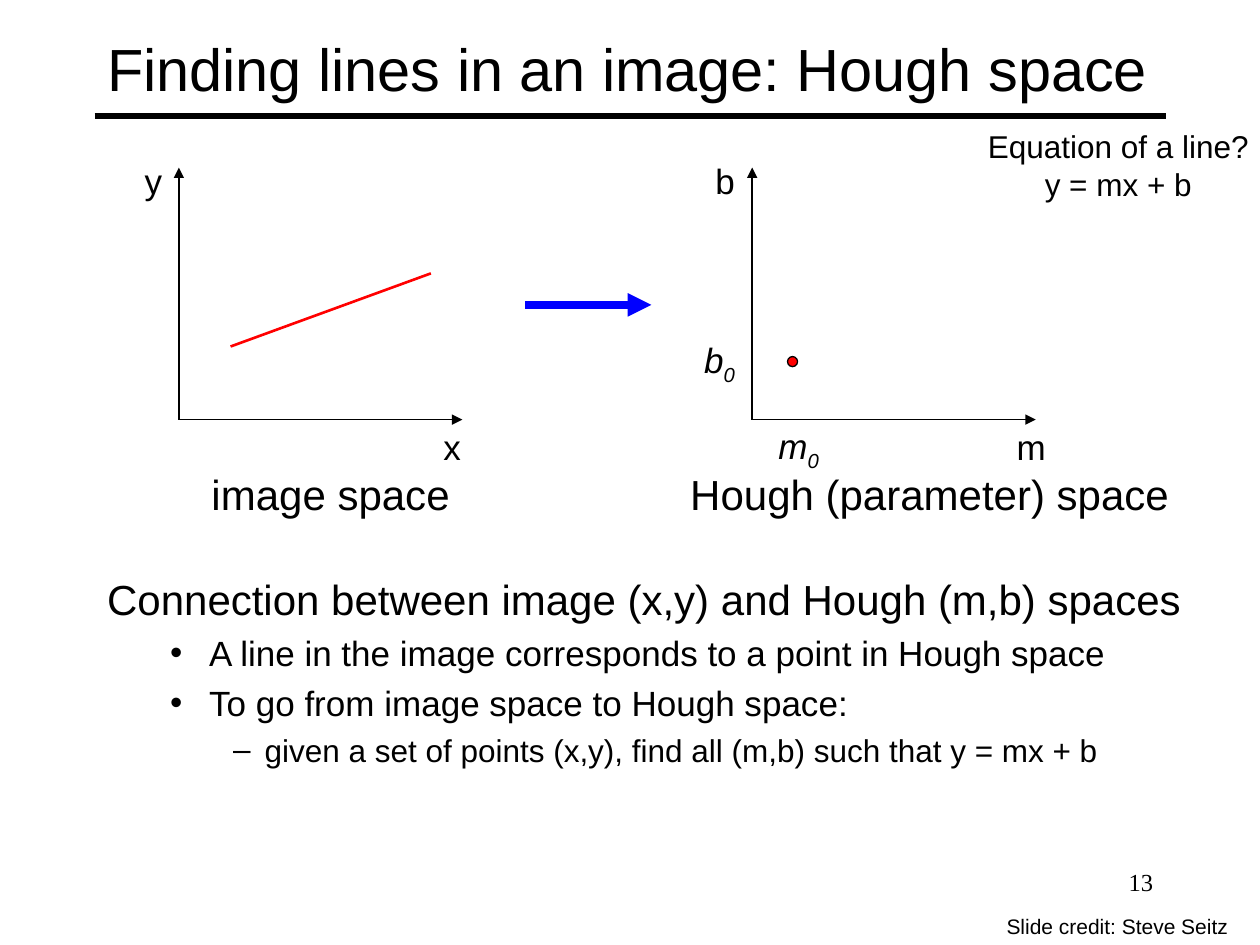
import pptx
import pptx.dml.color
import pptx.enum.shapes
import pptx.enum.text
import pptx.oxml
import pptx.util
from pptx.oxml import ns

Inches = pptx.util.Inches
Pt = pptx.util.Pt
ALIGN = pptx.enum.text.PP_ALIGN
ANCHOR = pptx.enum.text.MSO_ANCHOR
AUTO_SIZE = pptx.enum.text.MSO_AUTO_SIZE

BLACK = pptx.dml.color.RGBColor(0x00, 0x00, 0x00)
RED = pptx.dml.color.RGBColor(0xFF, 0x00, 0x00)
BLUE = pptx.dml.color.RGBColor(0x00, 0x00, 0xFF)

PLOT_WIDTH, PLOT_HEIGHT = Inches(2.25), Inches(2)


def add_element(parent, tag, **attributes):
    element = parent.makeelement(ns.qn(tag), attributes)
    parent.append(element)
    return element


def add_span(para, text, size, font="Arial", italic=None):
    span = para.add_run()
    span.text = text
    span.font.name = font
    span.font.size = Pt(size)
    span.font.italic = italic
    span.font.color.rgb = BLACK
    return span


def add_text(page, left, top, width, height, lines, size,
             font="Arial", align=ALIGN.LEFT, wrap=False):
    box = page.shapes.add_textbox(left, top, width, height)
    frame = box.text_frame
    frame.word_wrap = wrap
    for index, line in enumerate(lines):
        para = frame.paragraphs[0] if index == 0 else frame.add_paragraph()
        para.alignment = align
        add_span(para, line, size, font)


def add_symbol(page, left, top, width, letter):
    """Italic letter with a subscript zero."""
    box = page.shapes.add_textbox(left, top, width, Inches(0.43))
    box.text_frame.word_wrap = False
    para = box.text_frame.paragraphs[0]
    add_span(para, letter, 20, italic=True)
    subscript = add_span(para, "0", 20, italic=True)
    subscript.font._element.set("baseline", "-25000")


def add_line(page, start, end, color, weight, arrow=False):
    line = page.shapes.add_connector(
        pptx.enum.shapes.MSO_CONNECTOR.STRAIGHT, *start, *end)
    line.line.color.rgb = color
    line.line.width = Pt(weight)
    if arrow:
        add_element(line.line._get_or_add_ln(), "a:tailEnd", type="triangle")
    add_element(line._element.spPr, "a:effectLst")


def add_title(page, left, top, width, height):
    title = page.shapes.title
    title.left, title.top, title.width, title.height = left, top, width, height
    frame = title.text_frame
    frame.vertical_anchor = ANCHOR.MIDDLE
    frame.auto_size = AUTO_SIZE.NONE
    para = frame.paragraphs[0]
    para.alignment = ALIGN.LEFT
    add_span(para, "Finding lines in an image: Hough space", 34)
    # Rule under the title
    rule = top + Inches(0.84)
    add_line(page, (left, rule), (left + width, rule), BLACK, 3)


def add_axes(page, left, top, across, up):
    """Draw two axes; across and up are (name, label offset, label width)."""
    base = top + PLOT_HEIGHT
    add_line(page, (left, base), (left, top), BLACK, 1, arrow=True)
    add_line(page, (left, base), (left + PLOT_WIDTH, base), BLACK, 1, arrow=True)
    for (name, offset, width), label_top in ((across, base),
                                             (up, top - Inches(0.11))):
        add_text(page, left + Inches(offset), label_top,
                 Inches(width), Inches(0.43), [name], 20)


def add_image_space(page, left, top):
    add_axes(page, left, top, ("x", 2, 0.34), ("y", -0.37, 0.34))
    add_line(page, (left + Inches(0.41), top + Inches(1.42)),
             (left + Inches(2), top + Inches(0.84)), RED, 1.5)
    add_text(page, left + Inches(0.16), top + Inches(2.34),
             Inches(2.09), Inches(0.5), ["image space"], 24)


def add_hough_space(page, left, top):
    add_axes(page, left, top, ("m", 2, 0.43), ("b", -0.39, 0.36))
    # Point that stands for the line
    dot = page.shapes.add_shape(
        pptx.enum.shapes.MSO_SHAPE.OVAL, left + Inches(0.28),
        top + Inches(1.5), Inches(0.08), Inches(0.08))
    dot.shadow.inherit = False
    dot.fill.solid()
    dot.fill.fore_color.rgb = RED
    dot.line.color.rgb = BLACK
    dot.line.width = Pt(0.75)
    # Its coordinates
    add_symbol(page, left + Inches(0.11), top + Inches(1.99), Inches(0.53), "m")
    add_symbol(page, left - Inches(0.48), top + Inches(1.31), Inches(0.46), "b")
    add_text(page, left - Inches(0.59), top + Inches(2.34),
             Inches(4.04), Inches(0.51), ["Hough (parameter) space"], 24)


def add_body(page, left, top, width, height):
    body = page.placeholders[1]
    body.left, body.top, body.width, body.height = left, top, width, height
    frame = body.text_frame
    frame.auto_size = AUTO_SIZE.NONE
    # Level, bullet, left margin, hanging indent, size, text
    items = (
        (0, None, 0.38, 0.38, 24,
         "Connection between image (x,y) and Hough (m,b) spaces"),
        (1, "•", 0.81, 0.31, 20,
         "A line in the image corresponds to a point in Hough space"),
        (1, "•", 0.81, 0.31, 20, "To go from image space to Hough space:"),
        (2, "–", 1.25, 0.25, 18,
         "given a set of points (x,y), find all (m,b) such that y = mx + b"),
    )
    for index, (level, bullet, margin, hanging, size, text) in enumerate(items):
        para = frame.paragraphs[0] if index == 0 else frame.add_paragraph()
        para.level = level
        properties = para._element.get_or_add_pPr()
        properties.set("marL", str(Inches(margin)))
        properties.set("indent", str(-Inches(hanging)))
        if bullet:
            add_element(properties, "a:buChar", char=bullet)
        else:
            add_element(properties, "a:buNone")
        para.space_before = Pt(0.23 * size if index else 0)
        add_span(para, text, size)


def add_footer(page, left, top):
    add_text(page, left, top, Inches(2.08), Inches(0.5), ["13"], 14,
             font="Times New Roman", align=ALIGN.RIGHT, wrap=True)
    add_text(page, left + Inches(0.72), top + Inches(0.37), Inches(2.5),
             Inches(0.3), ["Slide credit: Steve Seitz"], 12, wrap=True)


def main():
    deck = pptx.Presentation()
    deck.slide_width, deck.slide_height = Inches(10), Inches(7.5)
    page = deck.slides.add_slide(deck.slide_layouts[1])

    add_title(page, Inches(0.75), Inches(0.08), Inches(8.5), Inches(0.92))
    add_body(page, Inches(0.75), Inches(4.5), Inches(8.92), Inches(2.58))

    # Two spaces and the arrow between them
    add_image_space(page, Inches(1.42), Inches(1.33))
    add_hough_space(page, Inches(5.97), Inches(1.33))
    add_line(page, (Inches(4.17), Inches(2.42)), (Inches(5.17), Inches(2.42)),
             BLUE, 4.5, arrow=True)

    add_footer(page, Inches(7.17), Inches(6.83))
    add_text(page, Inches(7.5), Inches(0.96), Inches(2.75), Inches(0.71),
             ["Equation of a line?", "y = mx + b"], 18,
             align=ALIGN.CENTER, wrap=True)
    deck.save("out.pptx")


if __name__ == "__main__":
    main()
